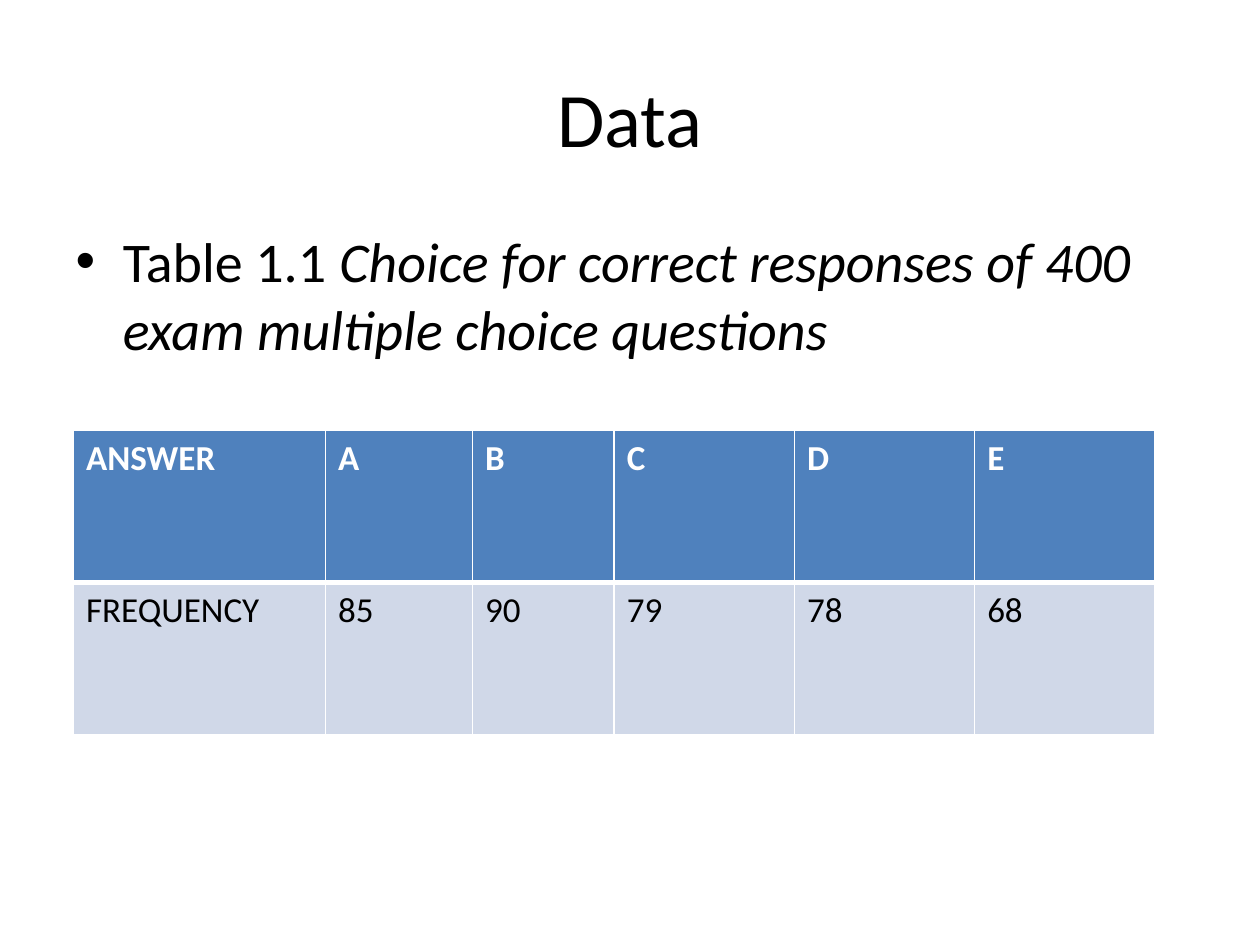
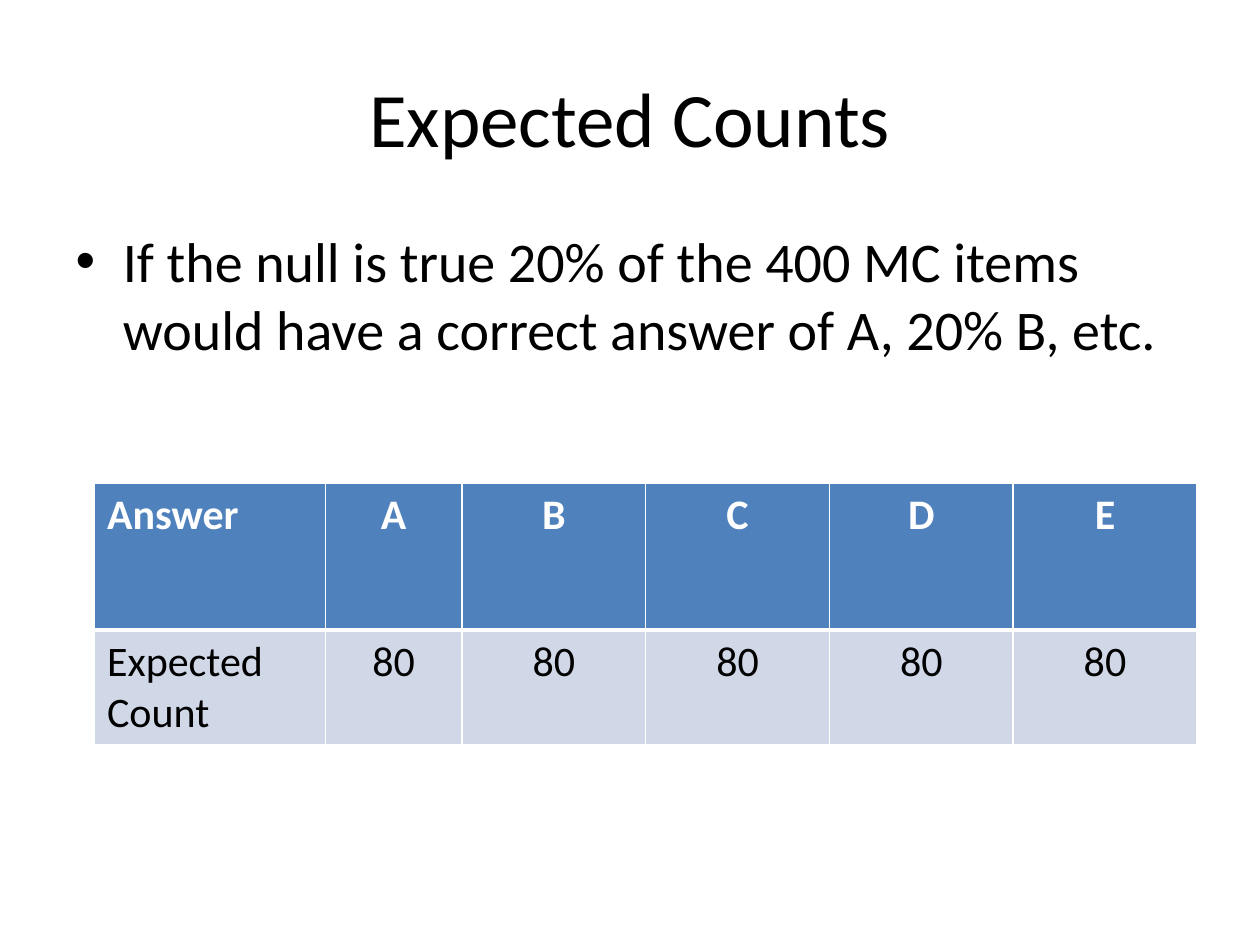
from lxml.etree import SubElement
from pptx import Presentation
from pptx.dml.color import RGBColor
from pptx.enum.text import MSO_ANCHOR, PP_ALIGN
from pptx.oxml.ns import qn
from pptx.util import Pt

COLOURS = {
    "text": "000000",
    "header_text": "FFFFFF",
    "header_fill": "4F81BD",
    "row_fill": "D0D8E8",
    "grid": "FFFFFF",
}
FONT = "Calibri"
TITLE_BOX = (36, 21.6, 648, 90)
BODY_BOX = (36, 126, 648, 356.4)


def rgb(name):
    return RGBColor.from_string(COLOURS[name])


def format_run(run, size, colour="text", **extra):
    run.font.color.rgb = rgb(colour)
    values = {"name": FONT, "size": Pt(size), **extra}
    for attribute, value in values.items():
        setattr(run.font, attribute, value)


def place(placeholder, box):
    for side, length in zip(("left", "top", "width", "height"), box):
        setattr(placeholder, side, Pt(length))


def add_heading(slide, text, box):
    """Centred slide title."""
    title = slide.shapes.title
    place(title, box)
    title.text_frame.vertical_anchor = MSO_ANCHOR.MIDDLE
    paragraph = title.text_frame.paragraphs[0]
    paragraph.alignment = PP_ALIGN.CENTER
    run = paragraph.add_run()
    run.text = text
    format_run(run, 44)


def add_statement(slide, parts, box):
    """One bullet made of (text, format) parts."""
    body = slide.placeholders[1]
    place(body, box)
    paragraph = body.text_frame.paragraphs[0]
    for text, extra in parts:
        run = paragraph.add_run()
        run.text = text
        format_run(run, 32, **extra)


def draw_borders(cell, widths):
    """Cell borders, which the schema puts ahead of the fill."""
    properties = cell._tc.get_or_add_tcPr()
    for side, width in widths.items():
        line = SubElement(properties, qn(f"a:ln{side}"), w=str(Pt(width)))
        fill = SubElement(line, qn("a:solidFill"))
        SubElement(fill, qn("a:srgbClr"), val=COLOURS["grid"])


def add_counts_table(slide, rows, origin, columns, heights, size, value_align):
    """Header row of answers above a row of counts."""
    left, top = origin
    table = slide.shapes.add_table(
        len(rows), len(columns), Pt(left), Pt(top),
        Pt(sum(columns)), Pt(sum(heights))).table
    for column, width in zip(table.columns, columns):
        column.width = Pt(width)
    for row, height in zip(table.rows, heights):
        row.height = Pt(height)

    for r, values in enumerate(rows):
        header = r == 0
        for c, value in enumerate(values):
            cell = table.cell(r, c)
            # The line under the header is the heavy one
            draw_borders(cell, {"L": 1, "R": 1,
                                "T": 1 if header else 3,
                                "B": 3 if header else 1})
            cell.fill.solid()
            cell.fill.fore_color.rgb = rgb("header_fill" if header else "row_fill")
            paragraph = cell.text_frame.paragraphs[0]
            paragraph.alignment = value_align if c else PP_ALIGN.LEFT
            run = paragraph.add_run()
            run.text = value
            format_run(run, size, "header_text" if header else "text", bold=header)


def add_counts_slide(deck, title, statement, **table):
    slide = deck.slides.add_slide(deck.slide_layouts[1])
    add_statement(slide, statement, BODY_BOX)
    add_heading(slide, title, TITLE_BOX)
    add_counts_table(slide, **table)


deck = Presentation()
deck.slide_width, deck.slide_height = Pt(720), Pt(540)
answers = list("ABCDE")

# Observed data
add_counts_slide(
    deck, "Data",
    [("Table 1.1 ", {}),
     ("Choice for correct responses of 400 exam multiple choice questions",
      {"italic": True})],
    rows=[["ANSWER", *answers], ["FREQUENCY", "85", "90", "79", "78", "68"]],
    origin=(42, 246), columns=[144, 84, 81] + [103] * 3, heights=[87, 87],
    size=20, value_align=PP_ALIGN.LEFT)

# Counts expected under the null
add_counts_slide(
    deck, "Expected Counts",
    [("If the null is true 20% of the 400 MC items would have a correct "
      "answer of A, 20% B, etc.", {})],
    rows=[["Answer", *answers], ["Expected Count"] + ["80"] * len(answers)],
    origin=(54, 276), columns=[132, 78] + [105] * 4, heights=[84, 65],
    size=24, value_align=PP_ALIGN.CENTER)

deck.save("out.pptx")
